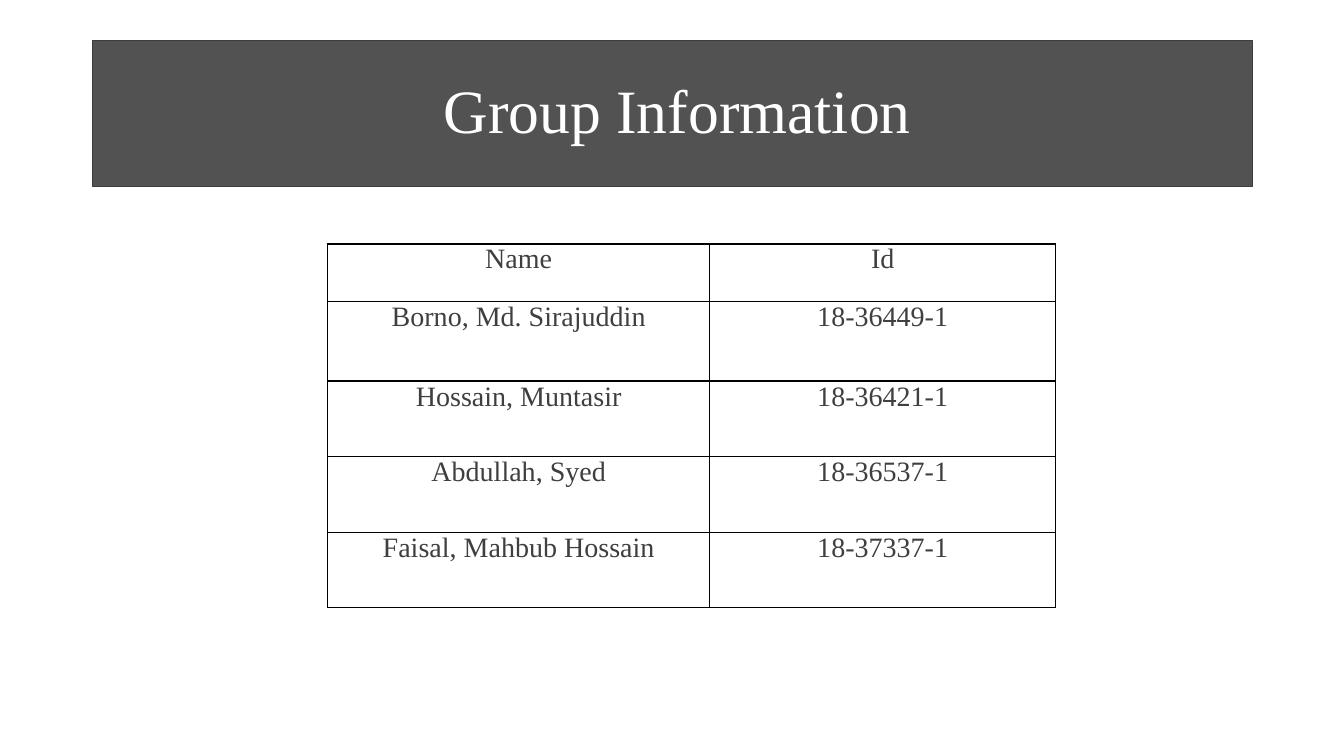
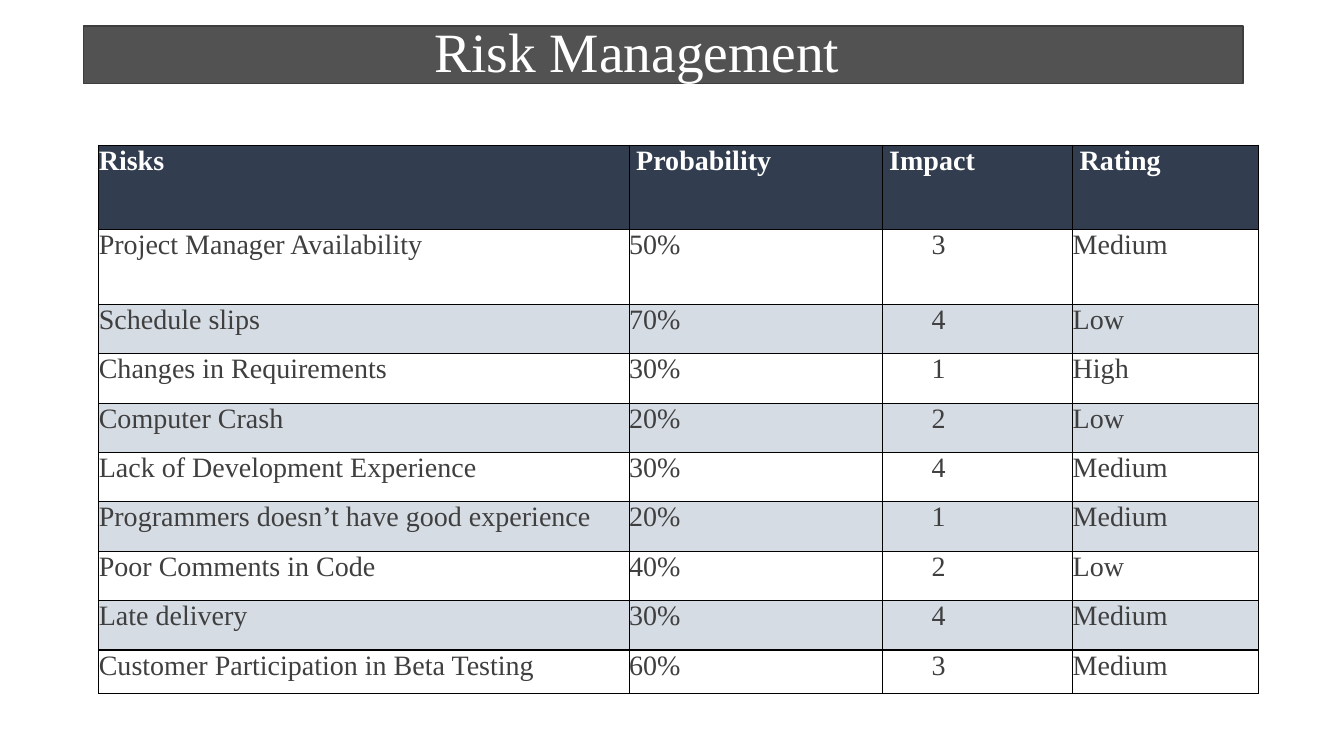
"""Build the group information and risk management slides."""
from lxml import etree
from pptx import Presentation
from pptx.dml.color import RGBColor
from pptx.enum.text import MSO_ANCHOR, MSO_AUTO_SIZE, PP_ALIGN
from pptx.oxml.ns import qn
from pptx.util import Inches, Pt

FONT = "Times New Roman"
WHITE, TEXT, BLACK = "FFFFFF", "3F3F3F", "000000"
BAND, BAND_LINE = "525252", "3D3D3D"
HEADER, STRIPE = "323E4F", "D6DCE4"


def rgb(value):
    return RGBColor.from_string(value)


def add_text(tf, text, size, color, align, bold=False):
    p = tf.paragraphs[0]
    p.alignment = align
    r = p.add_run()
    r.text = text
    r.font.name, r.font.size, r.font.bold = FONT, Pt(size), bold
    r.font.color.rgb = rgb(color)
    return p


members = [
    ("Name", "Id"),
    ("Borno, Md. Sirajuddin", "18-36449-1"),
    ("Hossain, Muntasir", "18-36421-1"),
    ("Abdullah, Syed", "18-36537-1"),
    ("Faisal, Mahbub Hossain", "18-37337-1"),
]
risks = [
    ("Risks", "Probability", "Impact", "Rating"),
    ("Project Manager Availability", "50%", "3", "Medium"),
    ("Schedule slips", "70%", "4", "Low"),
    ("Changes in Requirements", "30%", "1", "High"),
    ("Computer Crash", "20%", "2", "Low"),
    ("Lack of Development Experience", "30%", "4", "Medium"),
    ("Programmers doesn’t have good experience", "20%", "1", "Medium"),
    ("Poor Comments in Code", "40%", "2", "Low"),
    ("Late delivery", "30%", "4", "Medium"),
    ("Customer Participation in Beta Testing", "60%", "3", "Medium"),
]
slides = [
    dict(title="Group Information", size=44, band=(0.92, 0.4, 11.5, 1.45),
         at=(3.25, 2.42), cols=[3.79, 3.43], heights=[0.57, 0.79] + [0.75] * 3,
         rows=members, align=PP_ALIGN.CENTER, header=(WHITE, TEXT, False),
         fills=[WHITE], head_pads=[0.07] * 2, pads=[0.07] * 2, right=0.07),
    dict(title="Risk Management", size=39.6, band=(0.83, 0.26, 11.5, 0.57),
         at=(0.98, 1.44), cols=[5.26, 2.51, 1.89, 1.84],
         heights=[0.84, 0.74] + [0.49] * 7 + [0.43],
         rows=risks, align=PP_ALIGN.LEFT, header=(HEADER, WHITE, True),
         fills=[WHITE, STRIPE], head_pads=[0, 0.07, 0.07, 0.07],
         pads=[0, 0, 0.49, 0], right=0),
]

prs = Presentation()
prs.slide_width, prs.slide_height = Inches(13.33), Inches(7.5)

for d in slides:
    s = prs.slides.add_slide(prs.slide_layouts[5])
    title = s.shapes.title
    title.left, title.top, title.width, title.height = map(Inches, d["band"])
    title.fill.solid()
    title.fill.fore_color.rgb = rgb(BAND)
    title.line.color.rgb = rgb(BAND_LINE)
    title.line.width = Pt(1)
    tf = title.text_frame
    tf.word_wrap = True
    tf.auto_size = MSO_AUTO_SIZE.NONE
    tf.vertical_anchor = MSO_ANCHOR.MIDDLE
    tf.margin_left = Inches(3.48)
    p = add_text(tf, d["title"], d["size"], WHITE, PP_ALIGN.LEFT)
    p.line_spacing = 0.9

    left, top = d["at"]
    table = s.shapes.add_table(
        len(d["rows"]), len(d["cols"]), Inches(left), Inches(top),
        Inches(sum(d["cols"])), Inches(sum(d["heights"]))).table
    table.first_row = table.horz_banding = False
    for col, width in zip(table.columns, d["cols"]):
        col.width = Inches(width)
    for i, (row, height, values) in enumerate(zip(table.rows, d["heights"], d["rows"])):
        row.height = Inches(height)
        if i == 0:
            fill, color, bold = d["header"]
            pads = d["head_pads"]
        else:
            fill, color, bold = d["fills"][(i - 1) % len(d["fills"])], TEXT, False
            pads = d["pads"]
        for cell, value, pad in zip(row.cells, values, pads):
            cell.margin_left, cell.margin_right = Inches(pad), Inches(d["right"])
            cell.margin_top = cell.margin_bottom = 0
            tcPr = cell._tc.get_or_add_tcPr()
            for side in ("lnL", "lnR", "lnT", "lnB"):
                ln = etree.SubElement(tcPr, qn(f"a:{side}"), w=str(Pt(1)))
                line_fill = etree.SubElement(ln, qn("a:solidFill"))
                etree.SubElement(line_fill, qn("a:srgbClr"), val=BLACK)
            cell.fill.solid()
            cell.fill.fore_color.rgb = rgb(fill)
            add_text(cell.text_frame, value, 20, color, d["align"], bold)

prs.save("out.pptx")
